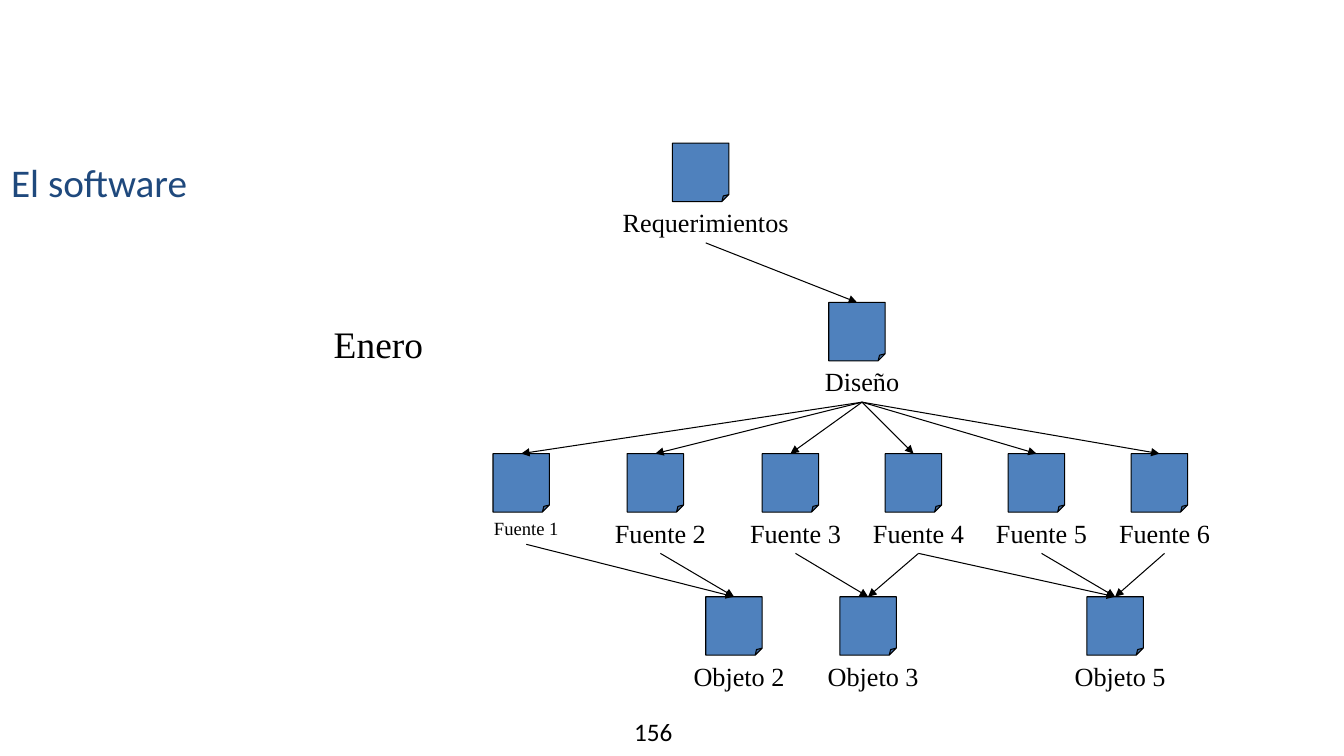
from lxml import etree
from pptx import Presentation
from pptx import util as u
from pptx.dml.color import RGBColor
from pptx.enum import shapes, text
from pptx.oxml.ns import qn

PX = 9144
SERIF = "Times New Roman"
BLACK = "000000"
SHEET_WIDTH, SHEET_HEIGHT = 56, 58
LABEL_WIDTH, LABEL_INDENT = 200, 67


def px(*lengths):
    return [u.Emu(length * PX) for length in lengths]


def color(value):
    return RGBColor.from_string(value)


def write(shape, words, size, font=SERIF, ink=BLACK, align=text.PP_ALIGN.LEFT,
          wrap=True, insets=(10, 5)):
    frame = shape.text_frame
    frame.word_wrap = wrap
    frame.auto_size = text.MSO_AUTO_SIZE.SHAPE_TO_FIT_TEXT
    frame.vertical_anchor = text.MSO_ANCHOR.TOP
    frame.margin_left, frame.margin_top = px(*insets)
    frame.margin_right, frame.margin_bottom = px(*insets)
    para = frame.paragraphs[0]
    para.alignment = align
    span = para.add_run()
    span.text = words
    span.font.size = u.Pt(size)
    span.font.name = font
    span.font.color.rgb = color(ink)


def add_title(page, box, words):
    title = page.shapes.title
    title.left, title.top, title.width, title.height = px(*box)
    write(title, words, 28, "Calibri", "1F497D", insets=(11, 6))


def add_note(page, box, words, size, font, insets):
    note = page.shapes.add_textbox(*px(*box))
    write(note, words, size, font, wrap=False, insets=insets)


def add_document(page, left, top, words, size=18.7, label_height=41):
    group = page.shapes.add_group_shape()
    sheet = group.shapes.add_shape(
        shapes.MSO_SHAPE.FOLDED_CORNER, *px(left, top, SHEET_WIDTH, SHEET_HEIGHT))
    fold = next(sheet._element.spPr.iter(qn("a:avLst")))
    etree.SubElement(fold, qn("a:gd"), name="adj", fmla="val 12500")
    sheet.shadow.inherit = False
    sheet.fill.solid()
    sheet.fill.fore_color.rgb = color("4F81BD")
    sheet.line.color.rgb = color(BLACK)
    sheet.line.width = u.Pt(0.75)
    label = group.shapes.add_textbox(
        *px(left - LABEL_INDENT, top + SHEET_HEIGHT, LABEL_WIDTH, label_height))
    write(label, words, size, align=text.PP_ALIGN.CENTER)
    return sheet, label


def add_arrow(page, source, target):
    arrow = page.shapes.add_connector(shapes.MSO_CONNECTOR.STRAIGHT, 0, 0, 0, 0)
    arrow.begin_connect(source[1], 2)
    arrow.end_connect(target[0], 0)
    arrow.line.color.rgb = color(BLACK)
    arrow.line.width = u.Pt(0.75)
    etree.SubElement(arrow.line._get_or_add_ln(), qn("a:tailEnd"), type="triangle")
    etree.SubElement(arrow._element.spPr, qn("a:effectLst"))


def add_tree(page, left, top):
    requirements = add_document(page, left + 178, top, "Requerimientos")
    design = add_document(page, left + 333, top + 158, "Diseño")

    sources = {}
    for number, offset in enumerate((0, 133, 267, 389, 511, 633), 1):
        size, height = (13.3, 32) if number == 1 else (18.7, 41)
        sources[number] = add_document(
            page, left + offset, top + 308, f"Fuente {number}", size, height)

    objects = {}
    for number, offset in ((2, 211), (3, 344), (5, 589)):
        objects[number] = add_document(
            page, left + offset, top + 450, f"Objeto {number}")

    add_arrow(page, requirements, design)
    for source in sources.values():
        add_arrow(page, design, source)
    for source, target in ((1, 2), (2, 2), (3, 3), (4, 3), (4, 5), (5, 5), (6, 5)):
        add_arrow(page, sources[source], objects[target])


def main():
    deck = Presentation()
    deck.slide_width, deck.slide_height = px(1333, 750)
    page = deck.slides.add_slide(deck.slide_layouts[5])
    page.background.fill.solid()
    page.background.fill.fore_color.rgb = color("FFFFFF")
    add_title(page, (0, 151, 1133, 58), "El software")
    add_tree(page, 489, 142)
    add_note(page, (320, 313, 112, 56), "Enero", 26.7, SERIF, (11, 6))
    add_note(page, (619, 706, 64, 40), "156", 18, "Calibri", (10, 5))
    deck.save("out.pptx")


if __name__ == "__main__":
    main()
